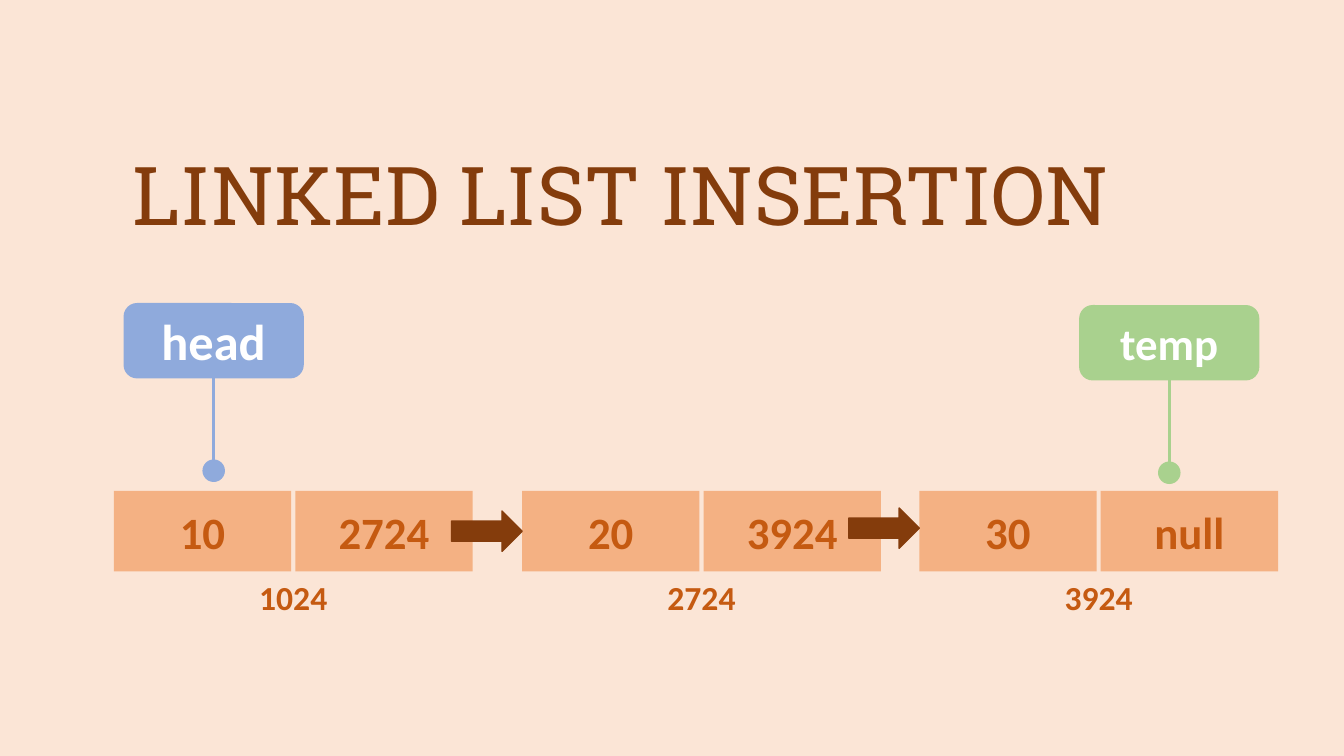
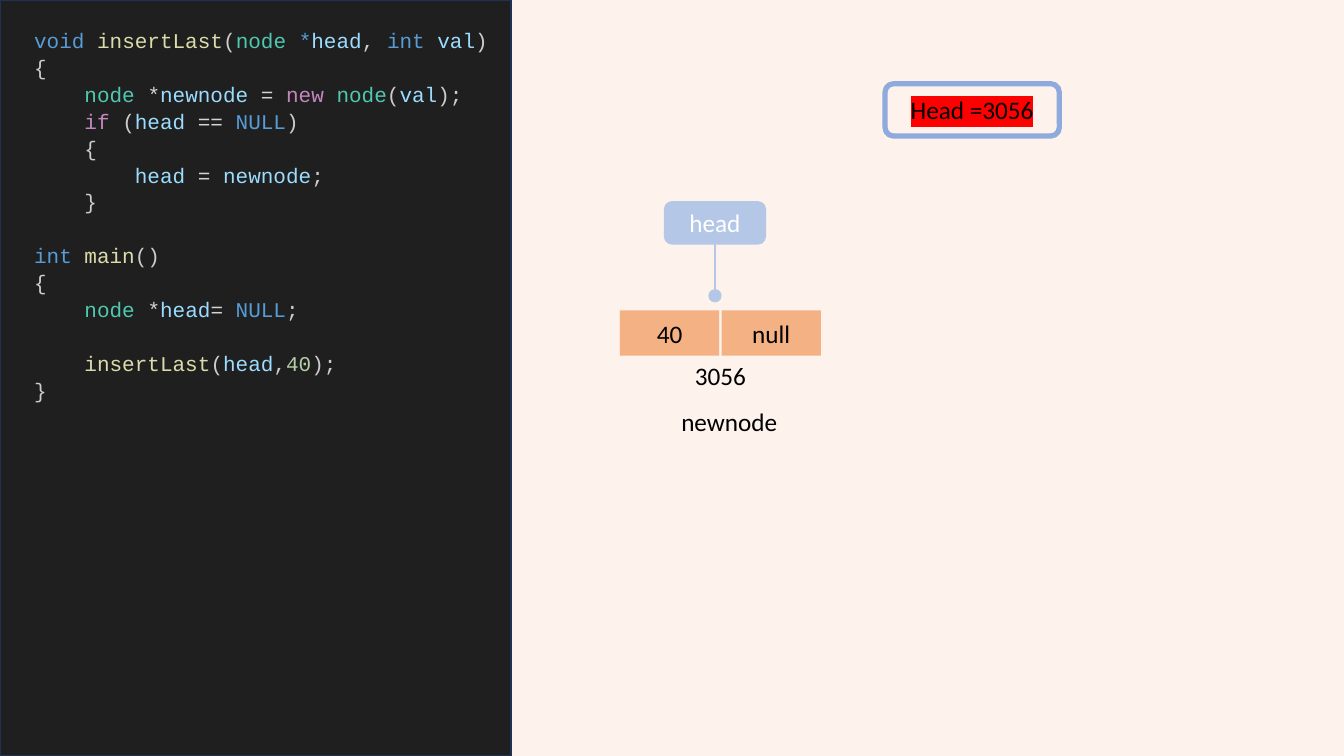
"""Build two slides on linked list insertion, laid out on a grid of tenths of an inch."""
from lxml import etree
from pptx import Presentation
from pptx import util as u
from pptx.dml.color import RGBColor
from pptx.enum import shapes, text
from pptx.oxml.ns import qn

UNIT = u.Inches(0.1)
COLUMNS, ROWS = 133.33, 75
PANEL_WIDTH, CODE_LEFT = 50.7, 2.4
BODY_FONT, CODE_FONT, TITLE_FONT = "Calibri", "Courier New", "Roboto Slab"
CODE_SIZE, CODE_PITCH, CODE_INDENT = 15, 19.2, 36
SMALL = 0.56

COLOURS = {
    "peach": "FBE5D6", "pale peach": "FDF2EC", "node": "F4B183",
    "rust": "C55A11", "brown": "843C0C", "blue": "8FAADC",
    "light blue": "B4C7E7", "green": "A9D18E", "white": "FFFFFF",
    "black": "000000", "red": "FF0000", "panel": "1F1F1F", "navy": "1E3256",
    "keyword": "569CD6", "function": "DCDCAA", "plain": "CCCCCC",
    "type": "4EC9B0", "name": "9CDCFE", "operator": "D4D4D4",
    "control": "C586C0", "number": "B5CEA8",
}

CODE = [
    (0, 0, [("keyword", "void "), ("function", "insertLast"), ("plain", "("),
            ("type", "node "), ("keyword", "*"), ("name", "head"),
            ("plain", ", "), ("keyword", "int "), ("name", "val"), ("plain", ")")]),
    (0, 0, [("plain", "{")]),
    (1, 0, [("type", "node "), ("operator", "*"), ("name", "newnode "),
            ("operator", "= "), ("control", "new "), ("type", "node"),
            ("plain", "("), ("name", "val"), ("plain", ");")]),
    (1, 0, [("control", "if"), ("plain", " ("), ("name", "head "),
            ("operator", "== "), ("keyword", "NULL"), ("plain", ")")]),
    (1, 0, [("plain", "{")]),
    (2, 0, [("name", "head "), ("operator", "= "), ("name", "newnode"), ("plain", ";")]),
    (1, 0, [("plain", "}")]),
    (0, 1, [("keyword", "int "), ("function", "main"), ("plain", "()")]),
    (0, 0, [("plain", "{")]),
    (1, 0, [("type", "node "), ("operator", "*"), ("name", "head"),
            ("operator", "= "), ("keyword", "NULL"), ("plain", ";")]),
    (1, 1, [("function", "insertLast"), ("plain", "("), ("name", "head"),
            ("plain", ","), ("number", "40"), ("plain", ");")]),
    (0, 0, [("plain", "}")]),
]


def grid(*lengths):
    """Turn grid lengths into slide lengths."""
    return [round(length * UNIT) for length in lengths]


def rgb(colour):
    """Look up a named colour."""
    return RGBColor.from_string(COLOURS[colour])


def add_slide(presentation, background):
    """Add a blank slide with a plain background."""
    slide = presentation.slides.add_slide(presentation.slide_layouts[6])
    slide.background.fill.solid()
    slide.background.fill.fore_color.rgb = rgb(background)
    return slide


def add_run(paragraph, words, size, colour, font=BODY_FONT, bold=False, highlight=None):
    """Add one run of text, highlighted if a colour is given."""
    run = paragraph.add_run()
    run.text = words
    run.font.size = u.Pt(size)
    run.font.name = font
    run.font.bold = bold
    run.font.color.rgb = rgb(colour)
    if highlight:
        mark = etree.Element(qn("a:highlight"))
        etree.SubElement(mark, qn("a:srgbClr"), val=COLOURS[highlight])
        run.font._element.find(qn("a:solidFill")).addnext(mark)


def add_shape(slide, kind, box, fill=None, line=None, weight=1):
    """Add a preset shape with the given fill and outline."""
    shape = slide.shapes.add_shape(kind, *grid(*box))
    shape.shadow.inherit = False
    if fill:
        shape.fill.solid()
        shape.fill.fore_color.rgb = rgb(fill)
    else:
        shape.fill.background()
    if line:
        shape.line.color.rgb = rgb(line)
        shape.line.width = u.Pt(weight)
    else:
        shape.line.fill.background()
    return shape


def write_centred(shape, words, size, colour, **style):
    """Write one centred line in the middle of a shape."""
    frame = shape.text_frame
    frame.vertical_anchor = text.MSO_ANCHOR.MIDDLE
    paragraph = frame.paragraphs[0]
    paragraph.alignment = text.PP_ALIGN.CENTER
    add_run(paragraph, words, size, colour, **style)


def add_label(slide, box, words, size, colour, centred=True, **style):
    """Add a text box of one line."""
    frame = slide.shapes.add_textbox(*grid(*box)).text_frame
    frame.word_wrap = True
    paragraph = frame.paragraphs[0]
    paragraph.alignment = text.PP_ALIGN.CENTER if centred else text.PP_ALIGN.LEFT
    add_run(paragraph, words, size, colour, **style)


def add_node(slide, left, top, parts, address, scale, sizes, colour, bold):
    """Add a list node of two cells with its address below."""
    width, height, gap = 17.6 * scale, 8 * scale, 0.4 * scale
    for index, part in enumerate(parts):
        box = (left + index * (width + gap), top, width, height)
        cell = add_shape(slide, shapes.MSO_SHAPE.RECTANGLE, box, "node")
        write_centred(cell, part, sizes[0], colour, bold=bold)
    add_label(slide, (left, top + height, 2 * width + gap, 5),
              address, sizes[1], colour, bold=bold)


def add_pointer(slide, left, top, name, scale, size, colour, bold):
    """Add a named tag with a stem that ends in a dot."""
    width, height, stem, dot = [scale * length for length in (17.6, 7.2, 9.3, 2.1)]
    tag = add_shape(slide, shapes.MSO_SHAPE.ROUNDED_RECTANGLE,
                    (left, top, width, height), colour, colour, 2)
    write_centred(tag, name, size, "white", bold=bold)
    centre, bottom = left + width / 2, top + height
    line = slide.shapes.add_connector(
        shapes.MSO_CONNECTOR.STRAIGHT, *grid(centre, bottom, centre, bottom + stem))
    line.line.color.rgb = rgb(colour)
    line.line.width = u.Pt(1.75)
    etree.SubElement(line._element.spPr, qn("a:effectLst"))
    add_shape(slide, shapes.MSO_SHAPE.OVAL,
              (centre - dot / 2, bottom + stem - dot / 2, dot, dot), colour, colour)


def add_code(slide, box):
    """Write the coloured code, one paragraph a line."""
    frame = slide.shapes.add_textbox(*grid(*box)).text_frame
    frame.word_wrap = True
    for index, (level, gap, tokens) in enumerate(CODE):
        paragraph = frame.add_paragraph() if index else frame.paragraphs[0]
        paragraph.line_spacing = u.Pt(CODE_PITCH)
        paragraph.space_before = u.Pt(gap * CODE_PITCH)
        properties = paragraph._p.get_or_add_pPr()
        properties.set("marL", str(u.Pt(level * CODE_INDENT)))
        properties.set("indent", "0")
        for colour, words in tokens:
            add_run(paragraph, words, CODE_SIZE, colour, CODE_FONT)


def build_list_slide(presentation):
    """Show the list of three nodes."""
    slide = add_slide(presentation, "peach")
    nodes = [(11.3, ("10", "2724"), "1024"), (51.8, ("20", "3924"), "2724"),
             (91.2, ("30", "null"), "3924")]
    for left, parts, address in nodes:
        add_node(slide, left, 48.7, parts, address, 1, (32, 24), "rust", True)
    add_pointer(slide, 12.4, 30.2, "head", 1, 36, "blue", True)
    add_pointer(slide, 107.2, 30.4, "temp", 1, 32, "green", True)
    add_label(slide, (12.2, 13.8, 108.9, 10.8), "LINKED LIST INSERTION", 58,
              "brown", centred=False, font=TITLE_FONT)
    for left, top in ((44.8, 50.7), (84.2, 50.4)):
        add_shape(slide, shapes.MSO_SHAPE.RIGHT_ARROW, (left, top, 7, 4), "brown", "brown")


def build_code_slide(presentation):
    """Show the insertion code beside its first node."""
    slide = add_slide(presentation, "pale peach")
    add_shape(slide, shapes.MSO_SHAPE.RECTANGLE, (0, 0, PANEL_WIDTH, ROWS), "panel", "navy")
    add_code(slide, (CODE_LEFT, 2.1, PANEL_WIDTH - CODE_LEFT, 41.4))
    state = add_shape(slide, shapes.MSO_SHAPE.ROUNDED_RECTANGLE,
                      (87.8, 8.3, 17.3, 5.2), line="blue", weight=3.75)
    write_centred(state, "Head =3056", 18, "black", highlight="red")
    add_node(slide, 61.5, 30.8, ("40", "null"), "3056", SMALL, (18, 18), "black", False)
    add_label(slide, (66.5, 39.8, 11.7, 4), "newnode", 18, "black")
    add_pointer(slide, 66, 20.1, "head", SMALL, 18, "light blue", False)


def main():
    """Build and save the presentation."""
    presentation = Presentation()
    presentation.slide_width, presentation.slide_height = grid(COLUMNS, ROWS)
    build_list_slide(presentation)
    build_code_slide(presentation)
    presentation.save("out.pptx")


if __name__ == "__main__":
    main()
